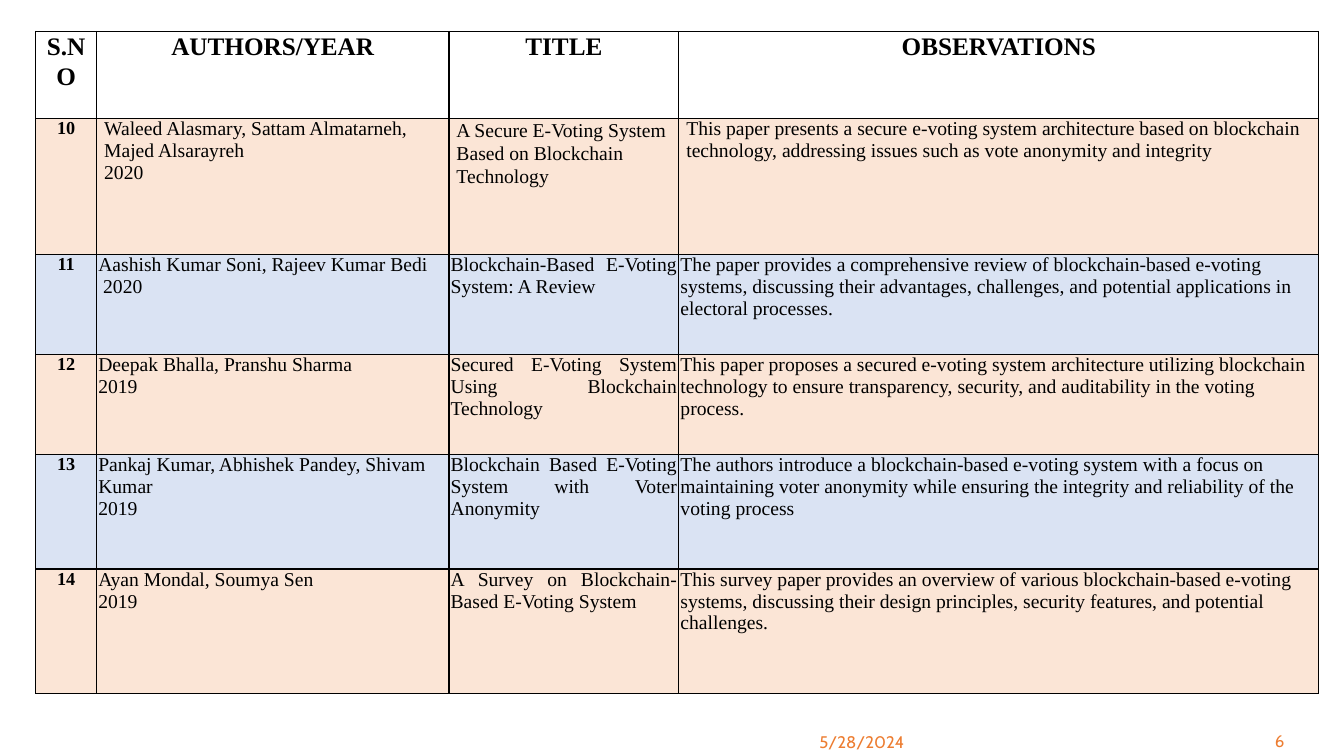
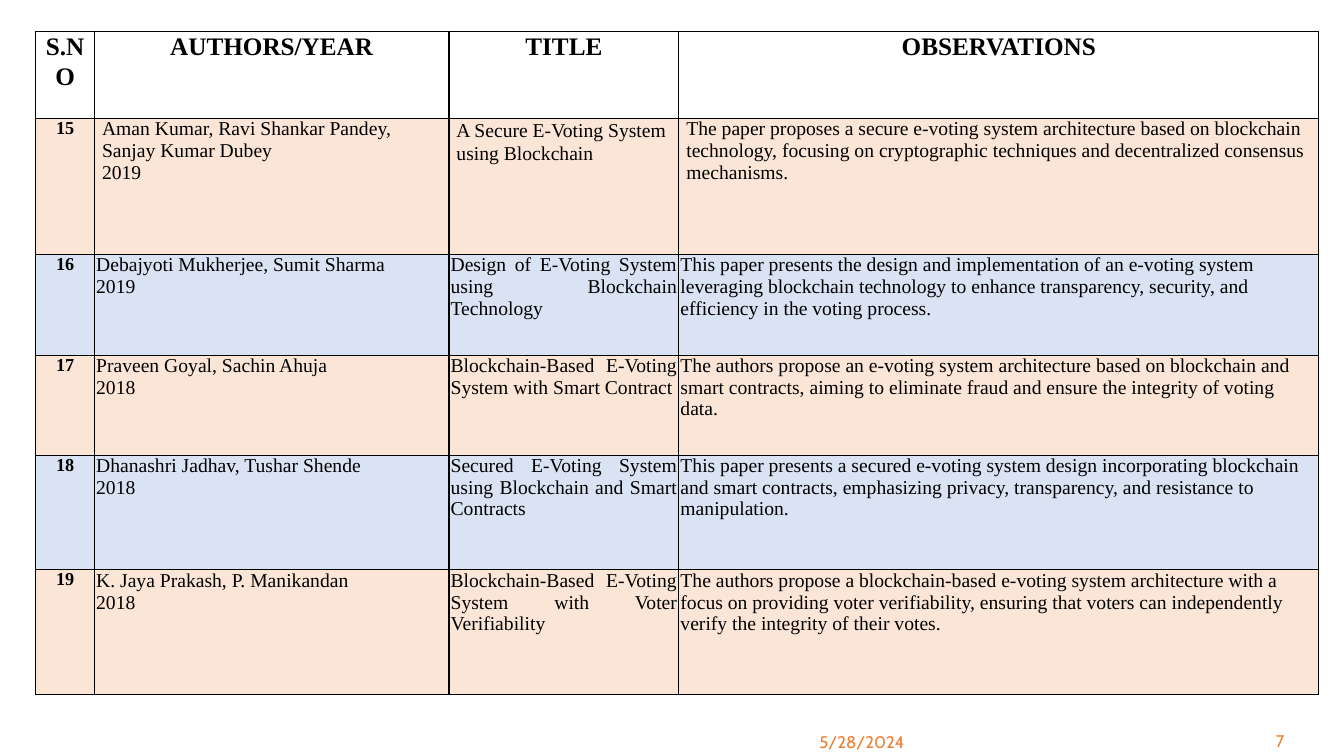
from lxml.etree import SubElement
from pptx import Presentation
from pptx.dml.color import RGBColor
from pptx.enum.text import MSO_ANCHOR, PP_ALIGN
from pptx.oxml.ns import qn
from pptx.util import Pt

# Shared style
TABLE_FONT, FOOTER_FONT = "Times New Roman", "Cabin"
BLACK, WHITE, ORANGE = "000000", "FFFFFF", "ED7D31"
BAND_FILLS = ["FBE5D6", "DAE3F3"]
TABLE_LEFT, TABLE_TOP = 25.5, 22.5
AUTHORS_END, TITLE_WIDTH, OBSERVATIONS_WIDTH = 295.2, 164.2, 457.2
NARROW_INSET, WIDE_INSET = 1.2, 5.4
HEADERS = ["S.NO", "AUTHORS/YEAR", "TITLE", "OBSERVATIONS"]
DATE = "5/28/2024"

# Content: number, authors and year, title, observations
PAPERS_10_TO_14 = [
    ("10", "Waleed Alasmary, Sattam Almatarneh, Majed Alsarayreh\n2020",
     "A Secure E-Voting System Based on Blockchain Technology",
     "This paper presents a secure e-voting system architecture based on blockchain technology, "
     "addressing issues such as vote anonymity and integrity"),
    ("11", "Aashish Kumar Soni, Rajeev Kumar Bedi\n 2020",
     "Blockchain-Based E-Voting System: A Review",
     "The paper provides a comprehensive review of blockchain-based e-voting systems, discussing "
     "their advantages, challenges, and potential applications in electoral processes."),
    ("12", "Deepak Bhalla, Pranshu Sharma\n2019",
     "Secured E-Voting System Using Blockchain Technology",
     "This paper proposes a secured e-voting system architecture utilizing blockchain technology "
     "to ensure transparency, security, and auditability in the voting process."),
    ("13", "Pankaj Kumar, Abhishek Pandey, Shivam Kumar\n2019",
     "Blockchain Based E-Voting System with Voter Anonymity",
     "The authors introduce a blockchain-based e-voting system with a focus on maintaining voter "
     "anonymity while ensuring the integrity and reliability of the voting process"),
    ("14", "Ayan Mondal, Soumya Sen\n2019",
     "A Survey on Blockchain-Based E-Voting System",
     "This survey paper provides an overview of various blockchain-based e-voting systems, "
     "discussing their design principles, security features, and potential challenges."),
]
PAPERS_15_TO_19 = [
    ("15", "Aman Kumar, Ravi Shankar Pandey, Sanjay Kumar Dubey\n2019",
     "A Secure E-Voting System using Blockchain",
     "The paper proposes a secure e-voting system architecture based on blockchain technology, "
     "focusing on cryptographic techniques and decentralized consensus mechanisms."),
    ("16", "Debajyoti Mukherjee, Sumit Sharma\n2019",
     "Design of E-Voting System using Blockchain Technology",
     "This paper presents the design and implementation of an e-voting system leveraging "
     "blockchain technology to enhance transparency, security, and efficiency in the voting process."),
    ("17", "Praveen Goyal, Sachin Ahuja\n2018",
     "Blockchain-Based E-Voting System with Smart Contract",
     "The authors propose an e-voting system architecture based on blockchain and smart contracts, "
     "aiming to eliminate fraud and ensure the integrity of voting data."),
    ("18", "Dhanashri Jadhav, Tushar Shende\n2018",
     "Secured E-Voting System using Blockchain and Smart Contracts",
     "This paper presents a secured e-voting system design incorporating blockchain and smart "
     "contracts, emphasizing privacy, transparency, and resistance to manipulation."),
    ("19", "K. Jaya Prakash, P. Manikandan\n2018",
     "Blockchain-Based E-Voting System with Voter Verifiability",
     "The authors propose a blockchain-based e-voting system architecture with a focus on providing "
     "voter verifiability, ensuring that voters can independently verify the integrity of their votes."),
]


def color(hex_string):
    return RGBColor.from_string(hex_string)


def format_text(text_frame, font_name, size, hex_color, align, bold=False,
                line_spacing=1.0, space_after=0):
    for paragraph in text_frame.paragraphs:
        paragraph.alignment = align
        paragraph.line_spacing = line_spacing
        paragraph.space_after = Pt(space_after)
        for run in paragraph.runs:
            run.font.name = font_name
            run.font.size = Pt(size)
            run.font.bold = bold
            run.font.color.rgb = color(hex_color)


def add_borders(cell):
    properties = cell._tc.get_or_add_tcPr()
    for side in ("a:lnL", "a:lnR", "a:lnT", "a:lnB"):
        line = SubElement(properties, qn(side), w=str(Pt(1)))
        fill = SubElement(line, qn("a:solidFill"))
        SubElement(fill, qn("a:srgbClr"), val=BLACK)


def fill_cell(cell, text, hex_fill, inset, size, align, **text_style):
    cell.margin_left = cell.margin_right = Pt(inset)
    cell.margin_top = cell.margin_bottom = 0
    add_borders(cell)
    cell.fill.solid()
    cell.fill.fore_color.rgb = color(hex_fill)
    cell.text_frame.text = text
    format_text(cell.text_frame, TABLE_FONT, size, BLACK, align, **text_style)


def add_paper_table(slide, papers, number_width, row_heights):
    widths = [number_width, AUTHORS_END - number_width, TITLE_WIDTH, OBSERVATIONS_WIDTH]
    table = slide.shapes.add_table(
        len(papers) + 1, len(widths), Pt(TABLE_LEFT), Pt(TABLE_TOP),
        Pt(sum(widths)), Pt(sum(row_heights))).table
    table.first_row = table.horz_banding = False
    for column, width in zip(table.columns, widths):
        column.width = Pt(width)
    for row, height in zip(table.rows, row_heights):
        row.height = Pt(height)

    # Header row
    for index, header in enumerate(HEADERS):
        fill_cell(table.cell(0, index), header, WHITE, NARROW_INSET, 18, PP_ALIGN.CENTER,
                  bold=True, line_spacing=1.07, space_after=8)

    # Paper rows: the first has wider insets and a looser, unjustified title
    for index, (number, authors, title, observations) in enumerate(papers):
        cells = table.rows[index + 1].cells
        hex_fill = BAND_FILLS[index % 2]
        is_first = index == 0
        inset = WIDE_INSET if is_first else NARROW_INSET
        fill_cell(cells[0], number, hex_fill, NARROW_INSET, 13, PP_ALIGN.CENTER,
                  bold=True, space_after=8)
        fill_cell(cells[1], authors, hex_fill, inset, 14, PP_ALIGN.LEFT)
        fill_cell(cells[2], title, hex_fill, inset, 14,
                  PP_ALIGN.LEFT if is_first else PP_ALIGN.JUSTIFY,
                  line_spacing=1.07 if is_first else 1.0, space_after=8)
        fill_cell(cells[3], observations, hex_fill, inset, 14, PP_ALIGN.LEFT)


def add_footer_text(slide, text, left, top, align):
    text_frame = slide.shapes.add_textbox(Pt(left), Pt(top), Pt(216), Pt(28.8)).text_frame
    text_frame.word_wrap = True
    text_frame.vertical_anchor = MSO_ANCHOR.MIDDLE
    text_frame.text = text
    format_text(text_frame, FOOTER_FONT, 12, ORANGE, align)


def add_paper_slide(presentation, page, papers, number_width, row_heights):
    slide = presentation.slides.add_slide(presentation.slide_layouts[6])
    add_paper_table(slide, papers, number_width, row_heights)
    add_footer_text(slide, DATE, 578.2, 515.5, PP_ALIGN.LEFT)
    add_footer_text(slide, page, 708.5, 514.8, PP_ALIGN.RIGHT)


def main():
    presentation = Presentation()
    presentation.slide_width, presentation.slide_height = Pt(960), Pt(540)
    add_paper_slide(presentation, "6", PAPERS_10_TO_14, 43.5, [62, 97.2, 71.4, 71.4, 82, 89])
    add_paper_slide(presentation, "7", PAPERS_15_TO_19, 42, [62, 97.2, 72, 71.4, 82, 89])
    presentation.save("out.pptx")


if __name__ == "__main__":
    main()
